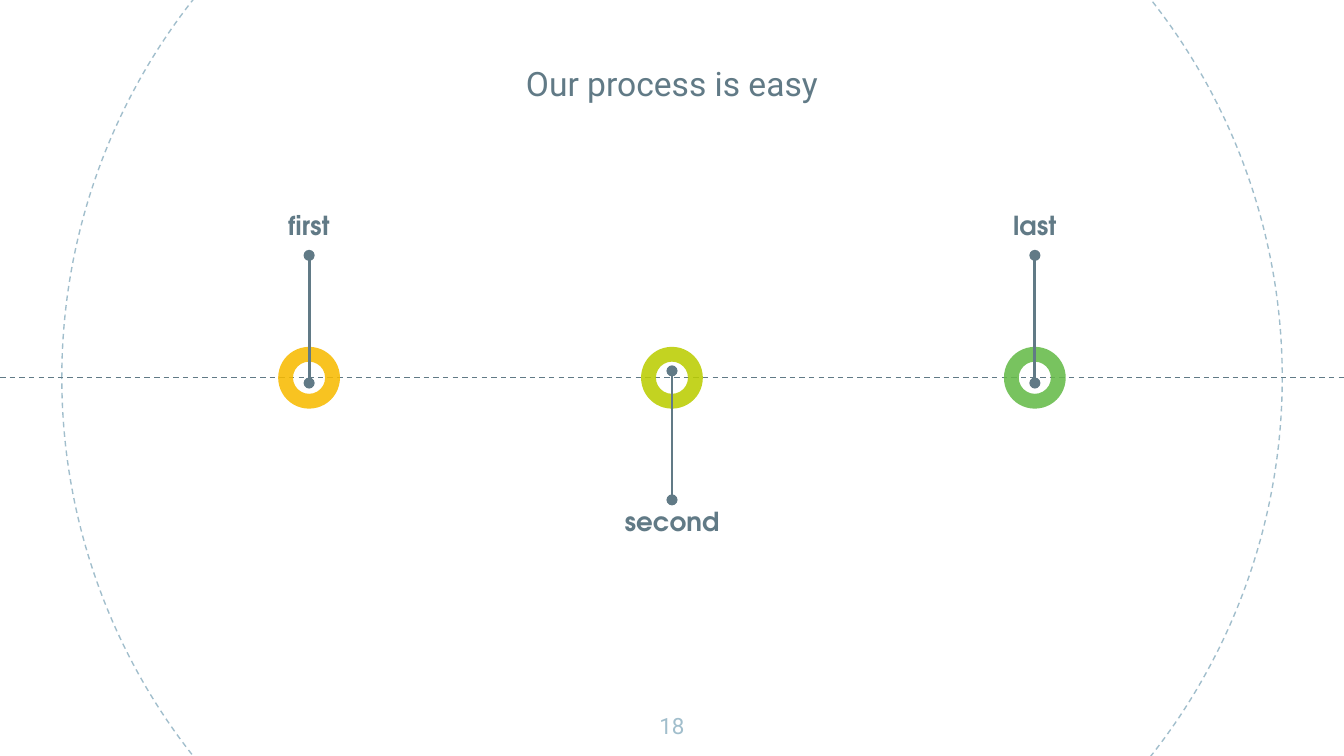
"""Build a three-step process slide along a dashed timeline."""
from dataclasses import dataclass

from lxml.etree import SubElement
from pptx import Presentation
from pptx.dml.color import RGBColor
from pptx.enum.dml import MSO_LINE_DASH_STYLE as DASH
from pptx.enum.shapes import MSO_CONNECTOR as CONN, MSO_SHAPE as SHAPE
from pptx.enum.text import MSO_ANCHOR as ANCHOR, PP_ALIGN as ALIGN
from pptx.oxml.ns import qn
from pptx.util import Pt

COLORS = {
    "slate": "617A86",
    "mist": "A1BECC",
    "yellow": "F8BB00",
    "lime": "BBCD00",
    "green": "65BB48",
}
BODY_FONT, LABEL_FONT = "Roboto", "TeX Gyre Adventor"
WIDTH, HEIGHT = 720, 405
AXIS_Y = 202.4
ORBIT_SIZE = 653.8
RING_SIZE = 33.1
LABEL_WIDTH, LABEL_HEIGHT = 97.9, 32.4
FIRST_X, STEP_GAP = 165.6, 194.4


@dataclass(frozen=True)
class Step:
    label: str
    color: str
    stem_start: float
    stem_end: float
    label_top: float


UP = (205.2, 136.8, 105.1)
DOWN = (198.7, 267.8, 263.5)
STEPS = [
    Step("first", "yellow", *UP),
    Step("second", "lime", *DOWN),
    Step("last", "green", *UP),
]


def rgb(name: str) -> RGBColor:
    """Return the named palette colour."""
    return RGBColor.from_string(COLORS[name])


def add_text(s, text: str, box: tuple, size: float, font: str, color: str,
             bold: bool = False, anchor=ANCHOR.TOP) -> None:
    """Add a centred one-line text box."""
    tf = s.shapes.add_textbox(*map(Pt, box)).text_frame
    tf.word_wrap = True
    tf.vertical_anchor = anchor
    tf.margin_left = tf.margin_right = tf.margin_top = tf.margin_bottom = Pt(7.2)
    p = tf.paragraphs[0]
    p.alignment = ALIGN.CENTER
    r = p.add_run()
    r.text = text
    r.font.name, r.font.size, r.font.bold = font, Pt(size), bold
    r.font.color.rgb = rgb(color)


def add_circle(s, kind, x: float, y: float, size: float):
    """Add a shadowless round shape centred on a point."""
    sp = s.shapes.add_shape(kind, Pt(x - size / 2), Pt(y - size / 2), Pt(size), Pt(size))
    sp.shadow.inherit = False
    return sp


def style_line(line, color: str, width: float, dash=None) -> None:
    """Set the colour, width and dash of a line."""
    line.color.rgb = rgb(color)
    line.width = Pt(width)
    if dash is not None:
        line.dash_style = dash


def add_line(s, start: tuple, end: tuple, width: float, dash=None, dots: bool = False) -> None:
    """Add a straight slate line, optionally with round ends."""
    sp = s.shapes.add_connector(CONN.STRAIGHT, *map(Pt, start + end))
    style_line(sp.line, "slate", width, dash)
    if dots:
        for tag in ("a:headEnd", "a:tailEnd"):
            SubElement(sp.line._get_or_add_ln(), qn(tag), type="oval")
    SubElement(sp._element.spPr, qn("a:effectLst"))


def add_orbit(s) -> None:
    """Add the large dashed background circle."""
    sp = add_circle(s, SHAPE.OVAL, WIDTH / 2, AXIS_Y, ORBIT_SIZE)
    sp.fill.background()
    style_line(sp.line, "mist", 0.75, DASH.DASH)


def add_step(s, step: Step, x: float) -> None:
    """Add a translucent ring with its stem and label."""
    sp = add_circle(s, SHAPE.DONUT, x, AXIS_Y, RING_SIZE)
    sp.adjustments[0] = 0.24
    sp.fill.solid()
    sp.fill.fore_color.rgb = rgb(step.color)
    SubElement(sp._element.spPr.find(".//" + qn("a:srgbClr")), qn("a:alpha"), val="87000")
    sp.line.fill.background()
    add_line(s, (x, step.stem_start), (x, step.stem_end), 1.5, dots=True)
    box = (x - LABEL_WIDTH / 2, step.label_top, LABEL_WIDTH, LABEL_HEIGHT)
    add_text(s, step.label, box, 14, LABEL_FONT, "slate", bold=True)


def main() -> None:
    """Build and save the slide."""
    prs = Presentation()
    prs.slide_width, prs.slide_height = Pt(WIDTH), Pt(HEIGHT)
    s = prs.slides.add_slide(prs.slide_layouts[6])
    add_orbit(s)
    add_line(s, (0, AXIS_Y), (WIDTH, AXIS_Y), 0.75, DASH.DASH)
    add_text(s, "Our process is easy", (152.4, 12.2, 415.2, 50.4), 18, BODY_FONT, "slate",
             anchor=ANCHOR.BOTTOM)
    for i, step in enumerate(STEPS):
        add_step(s, step, FIRST_X + i * STEP_GAP)
    add_text(s, "18", (341.6, 374.4, 36.8, 30.6), 12, BODY_FONT, "mist")
    prs.save("out.pptx")


if __name__ == "__main__":
    main()
